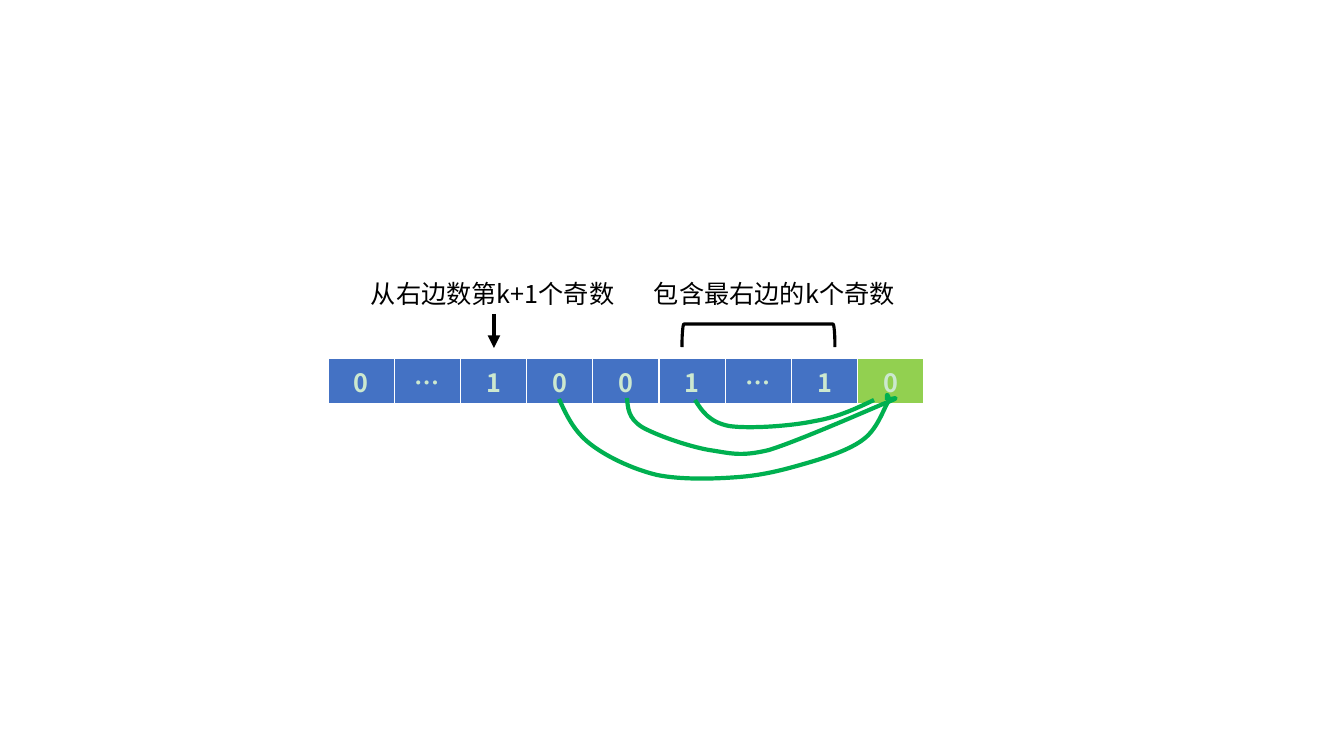
from lxml import etree
from pptx import Presentation
from pptx.dml.color import RGBColor
from pptx.enum.shapes import MSO_CONNECTOR, MSO_SHAPE
from pptx.enum.text import PP_ALIGN
from pptx.oxml.ns import qn
from pptx.util import Emu, Pt

STRAIGHT = MSO_CONNECTOR.STRAIGHT
RIGHT_BRACKET = MSO_SHAPE.RIGHT_BRACKET
CENTER = PP_ALIGN.CENTER
SCALE = 914400 / 100.8
FONT = "Noto Sans CJK SC"
COLORS = {
    "text": "000000",
    "digit": "CCE8CF",
    "border": "FFFFFF",
    "cell": "4472C4",
    "current": "92D050",
    "curve": "00B050",
}


def px(length):
    return Emu(round(length * SCALE))


def color(name):
    return RGBColor.from_string(COLORS[name])


class SlidePainter:
    def __init__(self, slide):
        self.slide = slide
        self.shapes = slide.shapes

    def style_text(self, paragraph, color_name, bold=False):
        for run in paragraph.runs:
            run.font.size = Pt(18)
            run.font.name = FONT
            run.font.bold = bold
            run.font.color.rgb = color(color_name)
            east_asian = etree.SubElement(run.font._element, qn("a:ea"))
            east_asian.set("typeface", FONT)

    def style_line(self, shape, color_name, width):
        shape.line.color.rgb = color(color_name)
        shape.line.width = Pt(width)

    def text(self, left, top, width, height, words):
        text_frame = self.shapes.add_textbox(px(left), px(top), px(width), px(height)).text_frame
        text_frame.word_wrap = True
        text_frame.text = words
        self.style_text(text_frame.paragraphs[0], "text")

    def cell_borders(self, cell):
        properties = cell._tc.get_or_add_tcPr()
        for index, (side, width) in enumerate((("L", 1), ("R", 1), ("T", 1), ("B", 3))):
            line = etree.Element(qn("a:ln" + side), w=str(Pt(width)))
            fill = etree.SubElement(line, qn("a:solidFill"))
            etree.SubElement(fill, qn("a:srgbClr"), val=COLORS["border"])
            properties.insert(index, line)

    def array(self, left, top, width, height, values):
        frame = self.shapes.add_table(1, len(values), px(left), px(top), px(width), px(height))
        last = len(values) - 1
        for index, value in enumerate(values):
            cell = frame.table.cell(0, index)
            cell.text_frame.text = value
            paragraph = cell.text_frame.paragraphs[0]
            paragraph.alignment = CENTER
            self.style_text(paragraph, "digit", bold=True)
            cell.fill.solid()
            cell.fill.fore_color.rgb = color("current" if index == last else "cell")
            self.cell_borders(cell)

    def bracket(self, left, top, width, height, rotation):
        shape = self.shapes.add_shape(RIGHT_BRACKET, px(left), px(top), px(width), px(height))
        shape.rotation = rotation
        shape.shadow.inherit = False
        shape.fill.background()
        self.style_line(shape, "text", 2.25)

    def arrow(self, start, end):
        connector = self.shapes.add_connector(STRAIGHT, *map(px, start + end))
        self.style_line(connector, "text", 3)
        etree.SubElement(connector.line._get_or_add_ln(), qn("a:tailEnd"), type="triangle")
        etree.SubElement(connector._element.spPr, qn("a:effectLst"))

    def curve(self, points):
        builder = self.shapes.build_freeform(*points[0], scale=SCALE)
        builder.add_line_segments(points[1:], close=False)
        shape = builder.convert_to_shape()
        shape.shadow.inherit = False
        shape.fill.background()
        self.style_line(shape, "curve", 3)
        segments = list(shape._element.iter(qn("a:lnTo")))
        for index in range(0, len(segments) - 2, 3):
            first, *others = segments[index:index + 3]
            first.tag = qn("a:cubicBezTo")
            for segment in others:
                first.append(segment[0])
                segment.getparent().remove(segment)


presentation = Presentation()
presentation.slide_width = px(1344)
presentation.slide_height = px(756)
painter = SlidePainter(presentation.slides.add_slide(presentation.slide_layouts[6]))

painter.array(328, 358, 596, 41, ["0", "…", "1", "0", "0", "1", "…", "1", "0"])
painter.bracket(747, 259, 23, 153, 270)
painter.text(644, 273, 261, 40, "包含最右边的k个奇数")
painter.arrow((494, 314), (494, 348))
painter.text(361, 273, 266, 40, "从右边数第k+1个奇数")

CURVES = [
    [(559, 399), (566, 414), (573, 430), (589, 443), (605, 456), (632, 469), (657, 475),
     (682, 480), (715, 479), (740, 477), (764, 475), (783, 470), (804, 464),
     (825, 458), (850, 450), (864, 439), (877, 429), (883, 411), (887, 404),
     (891, 397), (887, 395), (887, 395), (887, 400)],
    [(627, 398), (628, 408), (628, 418), (642, 427), (656, 435), (687, 446), (709, 450),
     (730, 453), (740, 457), (769, 450), (798, 441), (864, 412), (883, 404),
     (903, 396), (895, 398), (887, 400)],
    [(695, 400), (702, 411), (709, 422), (729, 426), (749, 429), (792, 426), (815, 421),
     (839, 417), (857, 408), (874, 400)],
]
for points in CURVES:
    painter.curve(points)

presentation.save("out.pptx")
